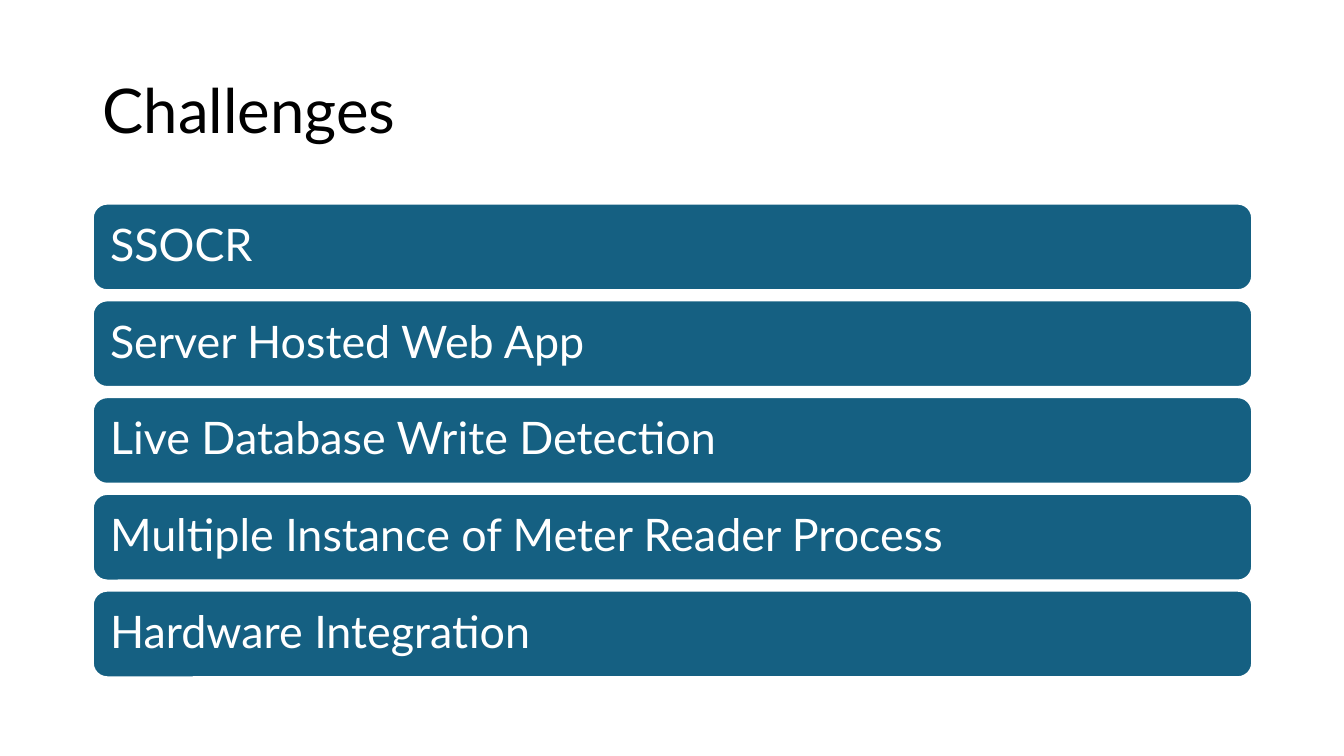
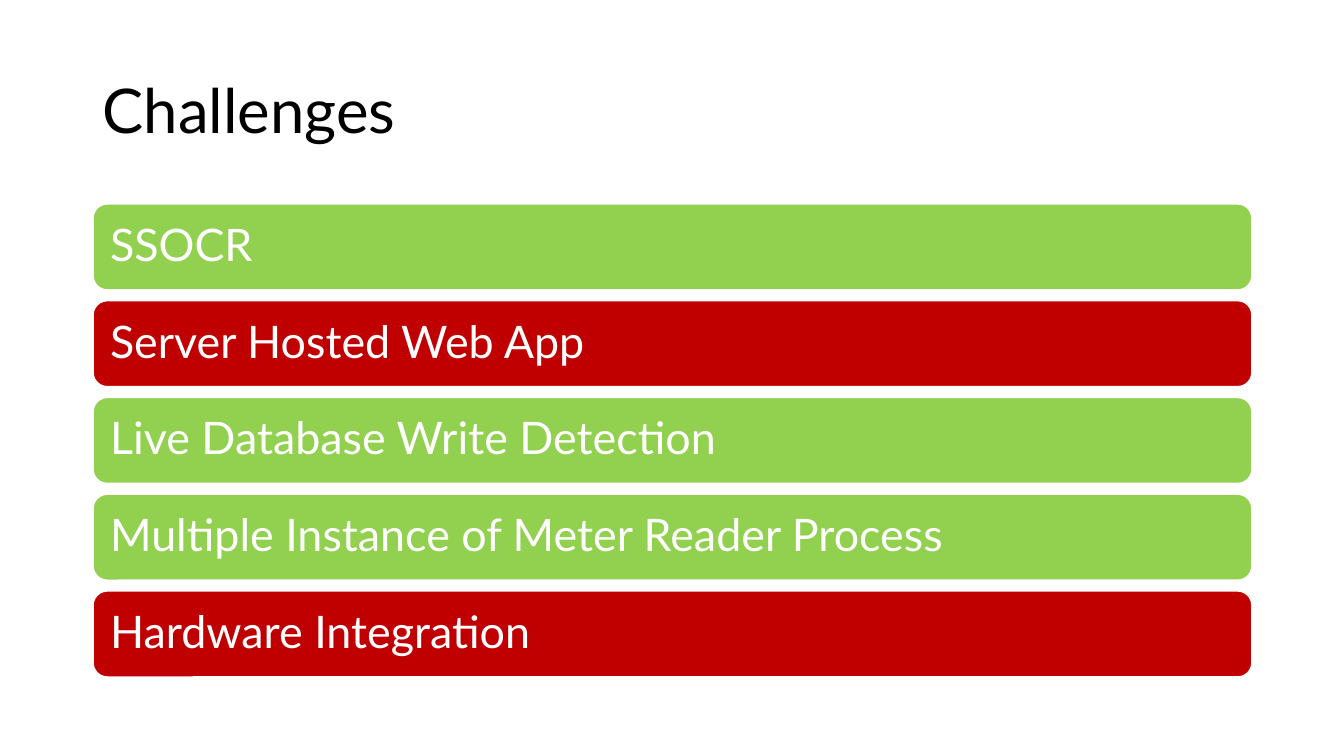
from dataclasses import dataclass

from pptx import Presentation
from pptx.dml.color import RGBColor
from pptx.enum.shapes import MSO_SHAPE
from pptx.enum.text import MSO_ANCHOR, PP_ALIGN
from pptx.slide import Slide
from pptx.text.text import TextFrame
from pptx.util import Emu, Pt

# Shared style
EMU_PER_PX = 9144  # 100 px to the inch
FONT = "Lato"
BLACK = RGBColor(0x00, 0x00, 0x00)
WHITE = RGBColor(0xFF, 0xFF, 0xFF)
BLUE = RGBColor(0x15, 0x60, 0x82)
GREEN = RGBColor(0x92, 0xD0, 0x50)
RED = RGBColor(0xC0, 0x00, 0x00)

# Shared layout, in px
PAGE_WIDTH, PAGE_HEIGHT = 1333, 750
LEFT, WIDTH = 92, 1150
TITLE_TOP, TITLE_HEIGHT = 40, 145
BAR_TOP, BAR_HEIGHT, BAR_PITCH = 202, 86, 96
BAR_MARGIN = 13


@dataclass(frozen=True)
class Challenge:
    name: str
    solved: bool

    @property
    def status_color(self) -> RGBColor:
        return GREEN if self.solved else RED


CHALLENGES = [
    Challenge("SSOCR", True),
    Challenge("Server Hosted Web App", False),
    Challenge("Live Database Write Detection", True),
    Challenge("Multiple Instance of Meter Reader Process", True),
    Challenge("Hardware Integration", False),
]


def px(length: int) -> Emu:
    return Emu(length * EMU_PER_PX)


def write_text(frame: TextFrame, text: str, size: int, color: RGBColor) -> None:
    frame.text = text
    frame.word_wrap = True
    frame.vertical_anchor = MSO_ANCHOR.MIDDLE
    para = frame.paragraphs[0]
    para.alignment = PP_ALIGN.LEFT
    para.line_spacing = 0.9
    span = para.runs[0]
    span.font.name = FONT
    span.font.size = Pt(size)
    span.font.color.rgb = color


def add_title(page: Slide, text: str) -> None:
    box = page.shapes.add_textbox(px(LEFT), px(TITLE_TOP), px(WIDTH), px(TITLE_HEIGHT))
    write_text(box.text_frame, text, 44, BLACK)


def add_bar(page: Slide, row: int, text: str, fill: RGBColor) -> None:
    bar = page.shapes.add_shape(
        MSO_SHAPE.ROUNDED_RECTANGLE,
        px(LEFT), px(BAR_TOP + row * BAR_PITCH), px(WIDTH), px(BAR_HEIGHT),
    )
    bar.shadow.inherit = False
    bar.fill.solid()
    bar.fill.fore_color.rgb = fill
    bar.line.color.rgb = WHITE
    bar.line.width = Pt(1.5)
    frame = bar.text_frame
    frame.margin_left = frame.margin_right = px(BAR_MARGIN)
    frame.margin_top = frame.margin_bottom = px(BAR_MARGIN)
    write_text(frame, text, 32, WHITE)


def main() -> None:
    deck = Presentation()
    deck.slide_width, deck.slide_height = px(PAGE_WIDTH), px(PAGE_HEIGHT)
    blank = deck.slide_layouts[6]

    # First the plain list, then the same list coloured by status
    for show_status in (False, True):
        page = deck.slides.add_slide(blank)
        add_title(page, "Challenges")
        for row, challenge in enumerate(CHALLENGES):
            fill = challenge.status_color if show_status else BLUE
            add_bar(page, row, challenge.name, fill)

    deck.save("out.pptx")


if __name__ == "__main__":
    main()
